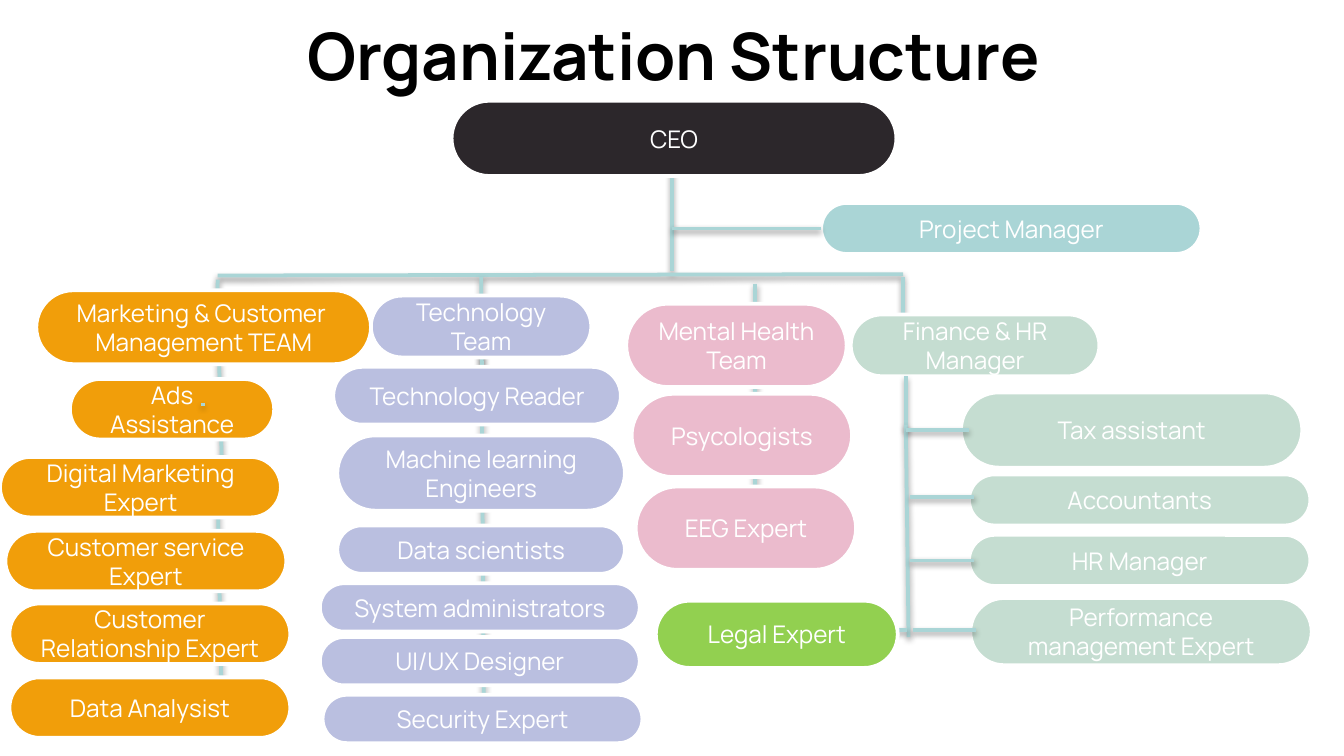
from typing import NamedTuple

from pptx import Presentation
from pptx.dml.color import RGBColor
from pptx.enum.shapes import MSO_CONNECTOR as CONN, MSO_SHAPE as SHAPE
from pptx.enum.text import MSO_ANCHOR as ANCHOR, PP_ALIGN as ALIGN
from pptx.util import Pt

PX = 9144  # 100 px to the inch
SLIDE_W = 1000 * PX
SLIDE_H = SLIDE_W * 9 // 16
FONT = "Manrope"
LEFT_SIDE = 1

BLACK = RGBColor(0x00, 0x00, 0x00)
WHITE = RGBColor(0xFF, 0xFF, 0xFF)
CHARCOAL = RGBColor(0x2C, 0x27, 0x2B)
AQUA = RGBColor(0xAA, 0xD5, 0xD6)
ORANGE = RGBColor(0xF1, 0x9E, 0x0A)
LILAC = RGBColor(0xBA, 0xBF, 0xE0)
PINK = RGBColor(0xEB, 0xBB, 0xCD)
SAGE = RGBColor(0xC5, 0xDD, 0xD1)
GREEN = RGBColor(0x92, 0xD0, 0x50)


class Role(NamedTuple):
    text: str
    x: int
    y: int
    w: int
    h: int


class Link(NamedTuple):
    x1: int
    y1: int
    x2: int
    y2: int


CEO = Role("CEO", 336, 75, 331, 56)
PROJECT = Role("Project Manager", 611, 151, 283, 38)
LEGAL = Role("Legal Expert", 488, 447, 180, 50)

# Teams in drawing order, each from its head down
TEAMS = [
    (LILAC, [
        Role("Technology\nTeam", 276, 220, 164, 46),
        Role("Technology Reader", 248, 273, 214, 43),
        Role("Machine learning Engineers", 251, 324, 214, 56),
        Role("Data scientists", 251, 391, 214, 36),
        Role("System administrators", 238, 434, 238, 36),
        Role("UI/UX Designer", 238, 474, 238, 36),
        Role("Security Expert", 240, 517, 238, 36),
    ]),
    (ORANGE, [
        Role("Marketing & Customer \nManagement TEAM", 27, 216, 249, 55),
        Role("Ads Assistance", 52, 282, 152, 45),
        Role("Digital Marketing Expert", 0, 340, 209, 45),
        Role("Customer service Expert", 4, 395, 209, 45),
        Role("Customer Relationship Expert", 7, 449, 209, 45),
        Role("Data Analysist", 7, 504, 209, 45),
    ]),
    (PINK, [
        Role("Mental Health\nTeam", 466, 226, 164, 62),
        Role("Psycologists", 470, 293, 164, 62),
        Role("EEG Expert", 473, 362, 164, 62),
    ]),
    (SAGE, [
        Role("Finance & HR Manager", 633, 234, 185, 46),
        Role("Tax assistant", 715, 292, 254, 56),
        Role("Accountants", 721, 353, 254, 38),
        Role("HR Manager", 721, 398, 254, 38),
        Role("Performance management Expert", 722, 445, 254, 50),
    ]),
]

# Links that run behind the boxes
BACK_LINKS = [
    Link(500, 126, 500, 202),  # CEO trunk
    Link(162, 205, 672, 204),  # crossbar
    Link(162, 208, 161, 267),  # marketing
    Link(163, 269, 165, 342),
    Link(162, 367, 165, 527),
    Link(358, 206, 360, 535),  # technology
    Link(358, 256, 360, 303),
    Link(562, 211, 562, 384),  # mental health
    Link(672, 206, 672, 251),  # finance
]

# Links that lie over the boxes
FRONT_LINKS = [
    Link(151, 302, 151, 300),
    Link(674, 280, 674, 320),  # finance spine
    Link(674, 316, 676, 474),
    Link(674, 320, 721, 320),  # finance branches
    Link(677, 370, 725, 370),
    Link(677, 417, 725, 417),
    Link(679, 469, 726, 469),
    Link(628, 469, 675, 469),  # legal
]


def style_text(tf, size: int, color: RGBColor, bold: bool = False) -> None:
    tf.word_wrap = True
    tf.vertical_anchor = ANCHOR.MIDDLE
    for p in tf.paragraphs:
        p.alignment = ALIGN.CENTER
        for r in p.runs:
            r.font.name, r.font.size, r.font.bold = FONT, Pt(size), bold
            r.font.color.rgb = color


def add_role(slide, role: Role, fill: RGBColor):
    sp = slide.shapes.add_shape(
        SHAPE.ROUNDED_RECTANGLE, *(v * PX for v in role[1:]))
    sp.adjustments[0] = 0.5
    sp.shadow.inherit = False
    sp.fill.solid()
    sp.fill.fore_color.rgb = fill
    sp.line.color.rgb = WHITE
    sp.line.width = Pt(2)
    sp.text_frame.text = role.text
    style_text(sp.text_frame, 13, WHITE)
    return sp


def add_link(slide, link: Link):
    """Draw a link; it keeps the soft shadow of the theme."""
    cx = slide.shapes.add_connector(CONN.STRAIGHT, *(v * PX for v in link))
    cx.line.color.rgb = AQUA
    cx.line.width = Pt(2)
    return cx


def main() -> None:
    prs = Presentation()
    prs.slide_width, prs.slide_height = SLIDE_W, SLIDE_H
    slide = prs.slides.add_slide(prs.slide_layouts[5])

    # Title
    title = slide.shapes.title
    title.left, title.top, title.width, title.height = (
        v * PX for v in (80, 9, 843, 63))
    tf = title.text_frame
    tf.margin_left = tf.margin_right = tf.margin_top = tf.margin_bottom = 10 * PX
    tf.text = "Organization Structure"
    style_text(tf, 35, BLACK, bold=True)

    # Trunk, crossbar and team lines
    for link in BACK_LINKS:
        add_link(slide, link)

    # Leadership
    add_role(slide, CEO, CHARCOAL)
    project = add_role(slide, PROJECT, AQUA)
    add_link(slide, Link(500, 170, 611, 170)).end_connect(project, LEFT_SIDE)

    # Teams
    for color, roles in TEAMS:
        for role in roles:
            add_role(slide, role, color)

    # Finance branches, then the legal box above its link
    for link in FRONT_LINKS:
        add_link(slide, link)
    add_role(slide, LEGAL, GREEN)

    prs.save("out.pptx")


if __name__ == "__main__":
    main()
